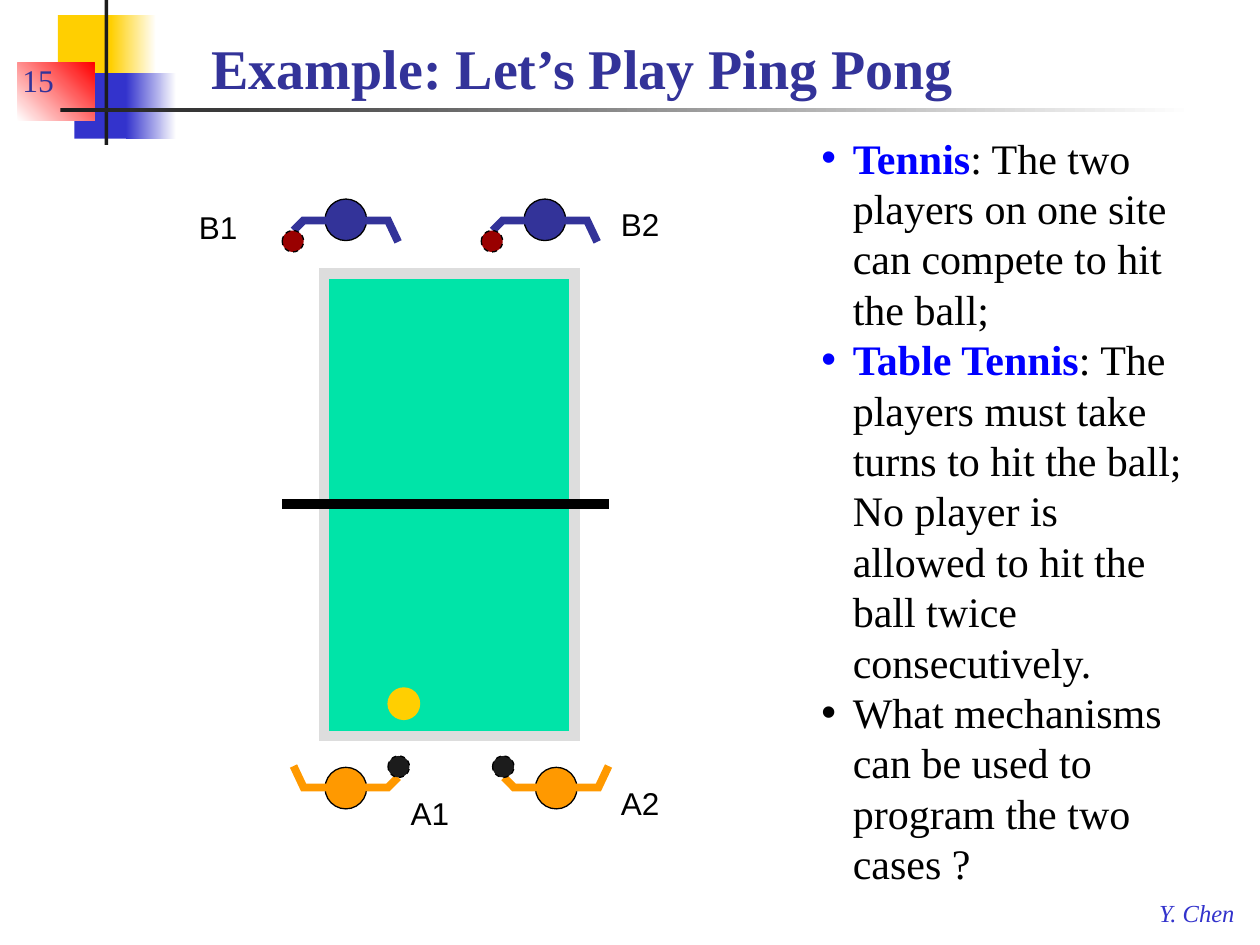
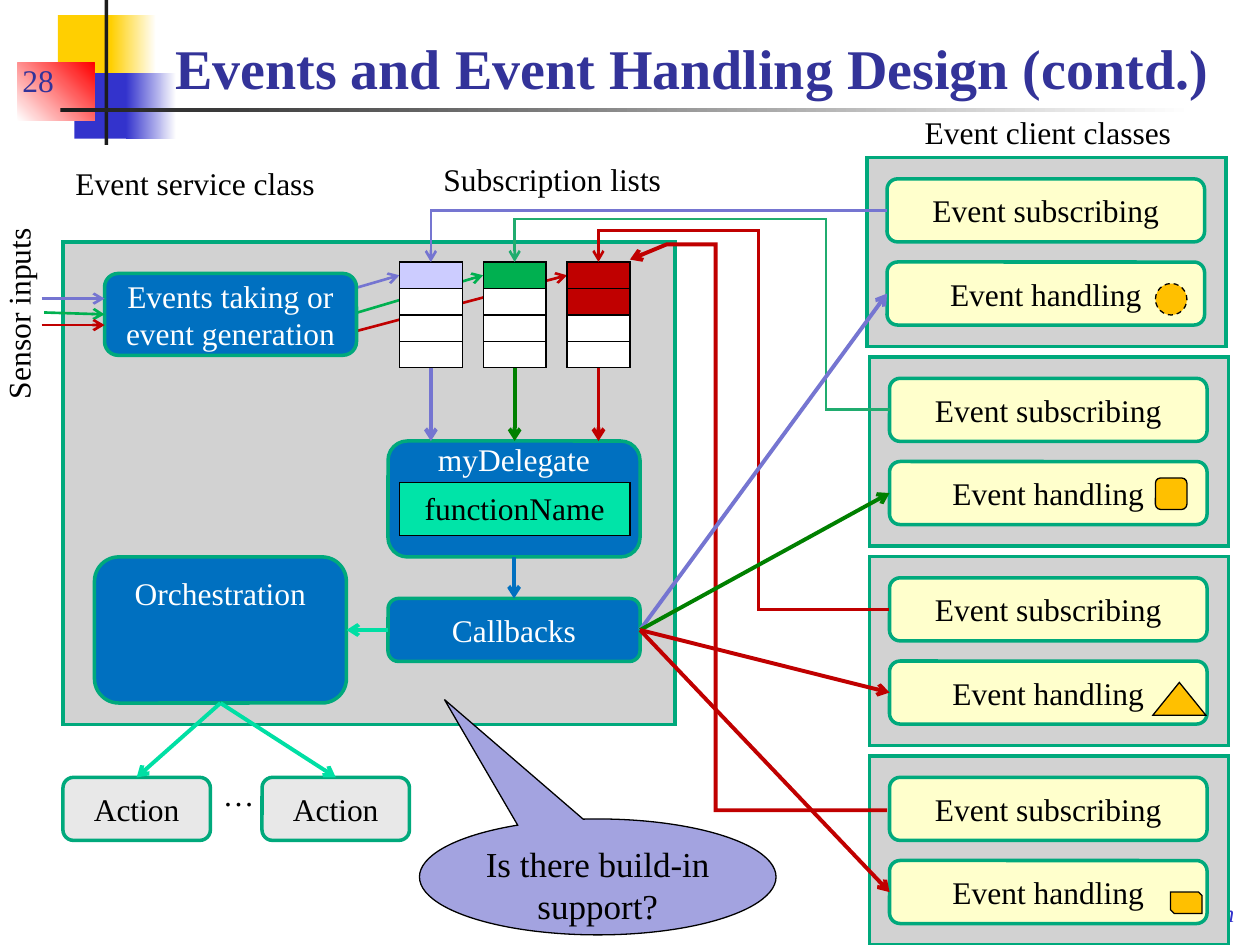
from lxml import etree
from pptx import Presentation
from pptx.dml.color import RGBColor
from pptx.enum.dml import MSO_LINE
from pptx.enum.shapes import MSO_CONNECTOR, MSO_SHAPE
from pptx.enum.text import MSO_ANCHOR, MSO_AUTO_SIZE, PP_ALIGN
from pptx.oxml.ns import qn
from pptx.util import Inches, Pt

RECT, ROUND, OVAL = MSO_SHAPE.RECTANGLE, MSO_SHAPE.ROUNDED_RECTANGLE, MSO_SHAPE.OVAL
PEAK, SNIP = MSO_SHAPE.ISOSCELES_TRIANGLE, MSO_SHAPE.SNIP_2_DIAG_RECTANGLE
CALLOUT = MSO_SHAPE.OVAL_CALLOUT
LINE, ELBOW = MSO_CONNECTOR.STRAIGHT, MSO_CONNECTOR.ELBOW
LEFT, CENTER = PP_ALIGN.LEFT, PP_ALIGN.CENTER
HIGH, MID, LOW = MSO_ANCHOR.TOP, MSO_ANCHOR.MIDDLE, MSO_ANCHOR.BOTTOM
DASH = MSO_LINE.DASH
TOP_SIDE, LEFT_SIDE, LOW_SIDE, RIGHT_SIDE = range(4)

SERIF, SANS = "Times New Roman", "Arial"
BLACK, WHITE, DARK = "000000", "FFFFFF", "1C1C1C"
NAVY, ROYAL, GOLD = "333399", "3333CC", "FFCF01"
MINT, EDGE, GREY, BLUE = "00E4A8", "00A97C", "D2D2D2", "0070C0"
VIOLET, GREEN, RED, FOREST = "7575D1", "00B050", "C00000", "008000"
AQUA, AMBER, CREAM = "00DFA4", "FFC000", "FFFFCC"


def rgb(code):
    return RGBColor.from_string(code)


def inch(values):
    return [Inches(v) for v in values]


def stroke(item, color, width, dash=None, arrow=False):
    item.line.color.rgb = rgb(color)
    item.line.width = Pt(width)
    if dash:
        item.line.dash_style = dash
    ln = item._element.spPr.find(qn("a:ln"))
    etree.SubElement(ln, qn("a:miter"), lim="800000")
    if arrow:
        etree.SubElement(ln, qn("a:tailEnd"), type="arrow")


def shape(slide, kind, box, fill, edge=None, width=0.75, dash=None):
    item = slide.shapes.add_shape(kind, *inch(box))
    item.shadow.inherit = False
    item.fill.solid()
    item.fill.fore_color.rgb = rgb(fill)
    if edge:
        stroke(item, edge, width, dash)
    else:
        item.line.fill.background()
    return item


def fade(slide, box, start, end, angle=0):
    item = shape(slide, RECT, box, start)
    item.fill.gradient()
    item.fill.gradient_angle = angle
    for stop, code in zip(item.fill.gradient_stops, (start, end)):
        stop.color.rgb = rgb(code)


def text(item, words, size=18, color=BLACK, font=SERIF, bold=False, italic=False,
         align=CENTER, anchor=MID, gap=None, bullet=None, pad=0.05):
    """Fill an item; words is a string or a list of paragraphs of (text, format) runs."""
    frame = item.text_frame
    frame.vertical_anchor = anchor
    frame.margin_top = Inches(pad)
    paras = [[(words, {})]] if isinstance(words, str) else words
    for i, runs in enumerate(paras):
        para = frame.add_paragraph() if i else frame.paragraphs[0]
        para.alignment = align
        if gap:
            para.line_spacing = Pt(gap)
        if bullet:
            props = para._p.get_or_add_pPr()
            props.set("marL", str(Inches(0.25)))
            props.set("indent", str(-Inches(0.25)))
            etree.SubElement(props, qn("a:buFont"), typeface=SANS)
            etree.SubElement(props, qn("a:buChar"), char=bullet)
        for part, own in runs:
            run = para.add_run()
            run.text = part
            run.font.name, run.font.size = font, Pt(size)
            run.font.bold = own.get("bold", bold)
            run.font.italic = italic
            run.font.color.rgb = rgb(own.get("color", color))
    return item


def label(slide, box, words, wrap=False, **fmt):
    item = slide.shapes.add_textbox(*inch(box))
    item.text_frame.word_wrap = wrap
    return text(item, words, **{"align": LEFT, "anchor": HIGH, **fmt})


def wire(slide, start, end, color, width, arrow=True, kind=LINE):
    item = slide.shapes.add_connector(kind, *inch(start + end))
    stroke(item, color, width, arrow=arrow)
    etree.SubElement(item._element.spPr, qn("a:effectLst"))
    return item


def link(slide, source, side, target, face, color, width, kind=LINE):
    item = wire(slide, (0, 0), (0, 0), color, width, kind=kind)
    item.begin_connect(source, side)
    item.end_connect(target, face)
    return item


def bend(slide, source, target, color, preset, ratios=()):
    item = link(slide, source, LEFT_SIDE, target, TOP_SIDE, color, 1.5, ELBOW)
    geom = item._element.spPr.find(qn("a:prstGeom"))
    geom.set("prst", preset)
    guides = geom.find(qn("a:avLst"))
    if guides is None:
        guides = etree.SubElement(geom, qn("a:avLst"))
    for i, ratio in enumerate(ratios, 1):
        etree.SubElement(guides, qn("a:gd"), name=f"adj{i}",
                         fmla=f"val {round(ratio * 100000)}")


def trace(slide, points, color, width, arrow=False):
    first, *rest = [inch(p) for p in points]
    pen = slide.shapes.build_freeform(*first)
    pen.add_line_segments(rest, close=False)
    item = pen.convert_to_shape()
    item.shadow.inherit = False
    item.fill.background()
    stroke(item, color, width, arrow=arrow)


# Shared frame: corner blocks, rules and footer, kept on the layout
def frame(slide, layout):
    before = len(slide.shapes)
    shape(slide, RECT, (0.46, 0.12, 0.48, 0.52), GOLD)
    fade(slide, (0.88, 0.12, 0.36, 0.52), GOLD, WHITE)
    shape(slide, RECT, (0.59, 0.58, 0.46, 0.52), ROYAL)
    fade(slide, (1, 0.58, 0.4, 0.52), ROYAL, WHITE)
    fade(slide, (0.14, 0.5, 0.61, 0.46), WHITE, "FF0000", 45)
    shape(slide, RECT, (0.83, 0, 0.03, 1.15), DARK)
    fade(slide, (0.48, 0.86, 9, 0.03), DARK, WHITE)
    label(slide, (9.1, 7.08, 0.82, 0.33), "Y. Chen", size=14, color=ROYAL, italic=True)
    for i, item in enumerate(list(slide.shapes)[before:]):
        node = item._element
        node.xpath(".//p:cNvPr")[0].set("id", str(100 + i))
        layout.shapes._spTree.insert(2 + i, node)


def head(slide, box, words, page, align):
    title = slide.shapes.title
    title.left, title.top, title.width, title.height = inch(box)
    title.text_frame.auto_size = MSO_AUTO_SIZE.NONE
    text(title, words, size=32, color=NAVY, bold=True, align=align, anchor=LOW)
    label(slide, (0.08, 0.33, 2.08, 0.5), page, True, color=NAVY, anchor=LOW)


# Ping pong slide
def player(slide, x, y, color, bat, flip_x=False, flip_y=False):
    wide, high = 0.92, 0.42

    def spot(dx, dy, size=0):
        return (x + (wide - dx - size if flip_x else dx),
                y + (high - dy - size if flip_y else dy))

    shape(slide, OVAL, spot(0.34, 0, 0.33) + (0.33, 0.33), color, BLACK)
    arms = [(0.09, 0.25), (0.17, 0.17), (0.84, 0.17), (0.92, 0.34)]
    trace(slide, [spot(*p) for p in arms], color, 4.5)
    shape(slide, OVAL, spot(0, 0.25, 0.17) + (0.17, 0.17), bat, BLACK, dash=DASH)


def court(slide, x, y):
    shape(slide, RECT, (x, y, 1.99, 3.67), MINT, "DDDDDD", 6)
    wire(slide, (x - 0.33, y + 1.83), (x + 2.26, y + 1.83), BLACK, 6, arrow=False)
    shape(slide, OVAL, (x + 0.51, y + 3.29, 0.25, 0.25), GOLD, GOLD)


def game(slide):
    head(slide, (1.58, 0.17, 8.33, 0.68), "Example: Let’s Play Ping Pong", "15", LEFT)
    for name, x, y in (("A1", 3.16, 6.25), ("A2", 4.83, 6.17),
                       ("B1", 1.48, 1.6), ("B2", 4.83, 1.58)):
        label(slide, (x, y, 0.51, 0.4), name, font=SANS)
    court(slide, 2.57, 2.17)
    for x in (2.24, 3.82):
        player(slide, x, 1.58, NAVY, "990000")
    player(slide, 2.33, 6, "FF9900", DARK, flip_x=True, flip_y=True)
    player(slide, 3.91, 6, "FF9900", DARK, flip_y=True)
    key = {"color": "0000FF", "bold": True}
    label(slide, (6.42, 1, 3.18, 6.16), [
        [("Tennis", key),
         (": The two players on one site can compete to hit the ball;", {})],
        [("Table Tennis", key),
         (": The players must take turns to hit the ball; No player is allowed "
          "to hit the ball twice consecutively.", {})],
        [("What mechanisms can be used to program the two cases ?", {})],
    ], True, size=24, gap=28.8, bullet="•")


# Event design slide
def node(slide, box, words, fill=BLUE, color=WHITE, **fmt):
    return text(shape(slide, ROUND, box, fill, EDGE, 2), words, color=color, **fmt)


def client(slide, x, y, icon, spot, dash=None):
    shape(slide, RECT, (x, y, 2.85, 1.5), GREY, EDGE, 2)
    asks, acts = [node(slide, (x + 0.16, y + dy, 2.52, 0.5), words, CREAM, BLACK)
                  for dy, words in ((0.17, "Event subscribing"), (0.83, "Event handling"))]
    dx, dy, wide, high = spot
    shape(slide, icon, (x + dx, y + dy, wide, high), AMBER, BLACK, dash=dash)
    return asks, acts


def column(slide, x, y, fills):
    return [shape(slide, RECT, (x, y + 0.21 * i, 0.5, 0.21), fill, BLACK)
            for i, fill in enumerate(fills)]


def service(slide, x, y):
    """Draw the service class; return the subscription columns and the callbacks box."""
    shape(slide, RECT, (x, y, 4.86, 3.83), GREY, EDGE, 2)
    feeds = [wire(slide, (x + 2.17, y + dy), (x + 2.67 + 0.67 * i, y + 0.27), color, 1.5)
             for i, (dy, color) in enumerate(((0.41, VIOLET), (0.61, GREEN), (0.75, RED)))]
    events = node(slide, (x + 0.33, y + 0.25, 2, 0.65),
                  "Events taking or event generation", gap=21.6)
    fills = (["CCCCFF"] + [WHITE] * 3, [GREEN] + [WHITE] * 3, [RED] * 2 + [WHITE] * 2)
    lists = [column(slide, x + 2.67 + 0.665 * i, y + 0.16, f) for i, f in enumerate(fills)]
    for feed, cells in zip(feeds, lists):
        feed.end_connect(cells[0], LEFT_SIDE)

    # Sensor inputs
    for dx, dy, color in ((-0.17, 0.45, VIOLET), (-0.15, 0.56, GREEN), (-0.17, 0.66, RED)):
        item = wire(slide, (x + dx, y + dy), (x + 0.33, y + dy), color, 1.5)
        if color == GREEN:
            item.end_connect(events, LEFT_SIDE)

    # Delegate, callbacks and orchestration
    proxy = node(slide, (x + 2.58, y + 1.58, 2, 0.92), "myDelegate",
                 anchor=HIGH, pad=0, gap=18)
    inner = shape(slide, RECT, (x + 2.67, y + 1.91, 1.83, 0.42), MINT, BLACK)
    text(inner, "functionName", anchor=HIGH)
    calls = node(slide, (x + 2.58, y + 2.83, 2, 0.5), "Callbacks")
    plan = node(slide, (x + 0.25, y + 2.5, 2, 1.16), "Orchestration",
                anchor=HIGH, pad=0.08)
    for i, (cells, color) in enumerate(zip(lists, (VIOLET, FOREST, RED))):
        px = x + 2.92 + 0.665 * i
        item = wire(slide, (px, y + 1), (px, y + 1.58), color, 2.25)
        item.begin_connect(cells[-1], LOW_SIDE)
    link(slide, proxy, LOW_SIDE, calls, TOP_SIDE, BLUE, 2.25)
    link(slide, calls, LEFT_SIDE, plan, RIGHT_SIDE, AQUA, 2.25)

    # Actions
    for dx in (0, 1.58):
        deed = node(slide, (x + dx, y + 4.25, 1.17, 0.5), "Action", "E8E8E8", BLACK)
        link(slide, plan, LOW_SIDE, deed, TOP_SIDE, AQUA, 2.25)
    label(slide, (x + 1.17, y + 4.18, 0.45, 0.4), "…")
    return lists, calls


def design(slide):
    head(slide, (1.08, 0.17, 8.83, 0.68), "Events and Event Handling Design (contd.)",
         "28", CENTER)
    for box, words in (((0.5, 1.25, 2.12, 0.4), "Event service class"),
                       ((3.42, 1.22, 1.95, 0.4), "Subscription lists"),
                       ((7.24, 0.85, 2.18, 0.4), "Event client classes")):
        label(slide, box, words)
    label(slide, (-0.64, 2.28, 1.57, 0.4), "Sensor inputs").rotation = 270
    lists, calls = service(slide, 0.5, 1.92)

    icons = ((OVAL, (2.29, 1, 0.25, 0.25), DASH), (ROUND, (2.27, 0.96, 0.25, 0.25), None),
             (PEAK, (2.25, 1, 0.42, 0.26), None), (SNIP, (2.39, 1.08, 0.25, 0.17), None))
    pairs = [client(slide, 6.9 if i else 6.88, 1.25 + 4.75 / 3 * i, *icon)
             for i, icon in enumerate(icons)]

    # Subscriptions lead to the lists, callbacks to the handlers
    tops = [cells[0] for cells in lists]
    bend(slide, pairs[0][0], tops[0], VIOLET, "bentConnector2")
    bend(slide, pairs[1][0], tops[1], "20AC6F", "bentConnector4", (0.17, 1.29))
    bend(slide, pairs[2][0], tops[2], RED, "bentConnector4", (0.45, 1.09))
    trace(slide, [(7.04, 6.43), (5.68, 6.43), (5.68, 1.94), (5.29, 1.94), (5, 2.06)],
          RED, 2.25, arrow=True)
    for (_, acts), color in zip(pairs, (VIOLET, FOREST, RED, RED)):
        link(slide, calls, RIGHT_SIDE, acts, LEFT_SIDE, color, 2.25)

    bubble = shape(slide, CALLOUT, (3.33, 6.5, 2.83, 0.92), "A3A3E0", BLACK)
    bubble.adjustments[0], bubble.adjustments[1] = -0.43, -1.53
    text(bubble, "Is there build-in support?", size=20, anchor=HIGH, gap=24)


def main():
    deck = Presentation()
    deck.slide_width, deck.slide_height = Inches(10), Inches(7.5)
    layout = deck.slide_layouts[5]
    first, second = [deck.slides.add_slide(layout) for _ in range(2)]
    frame(first, layout)
    game(first)
    design(second)
    deck.save("out.pptx")


if __name__ == "__main__":
    main()
